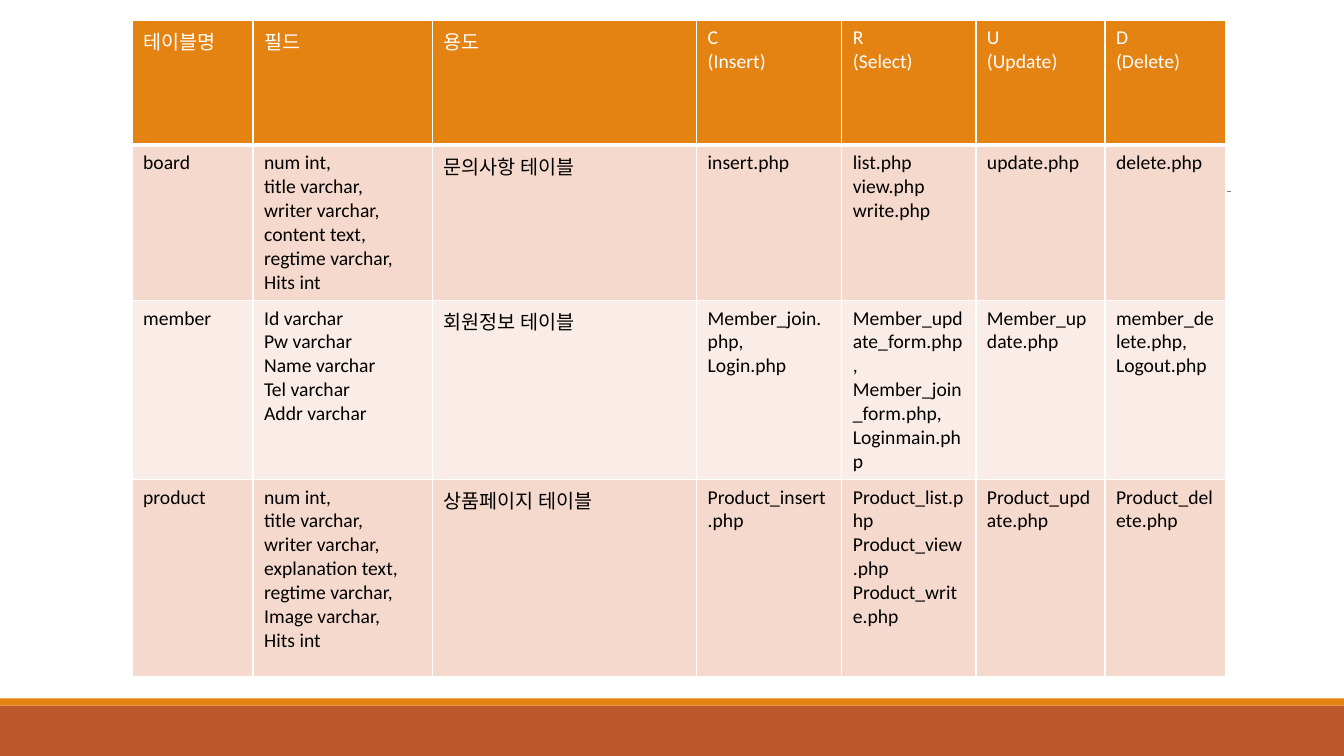
import pptx
import pptx.dml.color
import pptx.enum.shapes
import pptx.oxml
import pptx.oxml.ns
import pptx.util

# Content: one list of lines per cell
HEADER = [["테이블명"], ["필드"], ["용도"], ["C", "(Insert)"], ["R", "(Select)"],
          ["U", "(Update)"], ["D", "(Delete)"]]
BODY = [
    [["board"],
     ["num int,", "title varchar,", "writer varchar,", "content text,",
      "regtime varchar,", "Hits int"],
     ["문의사항 테이블"],
     ["insert.php"],
     ["list.php", "view.php", "write.php"],
     ["update.php"],
     ["delete.php"]],
    [["member"],
     ["Id varchar", "Pw varchar", "Name varchar", "Tel varchar", "Addr varchar"],
     ["회원정보 테이블"],
     ["Member_join.php,", "Login.php"],
     ["Member_update_form.php,", "Member_join_form.php,", "Loginmain.php"],
     ["Member_update.php"],
     ["member_delete.php,", "Logout.php"]],
    [["product"],
     ["num int,", "title varchar,", "writer varchar,", "explanation text,",
      "regtime varchar,", "Image varchar,", "Hits int"],
     ["상품페이지 테이블"],
     ["Product_insert.php"],
     ["Product_list.php", "Product_view.php", "Product_write.php"],
     ["Product_update.php"],
     ["Product_delete.php"]],
]

THEME = {
    "font": "Calibri", "size": 14,
    "header_text": "FFFFFF", "body_text": "000000",
    "header_fill": "E48312", "bands": ["F5D9CC", "FAEDE7"],
    "border": "FFFFFF", "rule": "808080",
    "footer": "BD582C", "footer_edge": "E48312",
}

# Layout in inches
WIDTH, HEIGHT = 13.33, 7.5
TABLE_LEFT, TABLE_TOP = 1.31, 0.2
COLUMNS = [1.2, 1.78, 2.62, 1.44, 1.33, 1.28, 1.2]
ROWS = [1.24, 1.5, 1.64, 1.96]
FOOTER_HEIGHT, EDGE_HEIGHT = 0.5, 0.07
RULE_Y, RULE_RIGHT = 1.9, 12.21

inches = pptx.util.Inches


def color(name):
    return pptx.dml.color.RGBColor.from_string(name)


def add_band(slide, top, height, fill):
    shape = slide.shapes.add_shape(pptx.enum.shapes.MSO_SHAPE.RECTANGLE,
                                   0, inches(top), inches(WIDTH), inches(height))
    shape.shadow.inherit = False
    shape.fill.solid()
    shape.fill.fore_color.rgb = color(fill)
    shape.line.fill.background()


def add_rule(slide):
    rule = slide.shapes.add_connector(
        pptx.enum.shapes.MSO_CONNECTOR.STRAIGHT,
        inches(TABLE_LEFT), inches(RULE_Y), inches(RULE_RIGHT), inches(RULE_Y))
    rule.line.color.rgb = color(THEME["rule"])
    rule.line.width = pptx.util.Pt(0.5)
    properties = rule._element.spPr
    properties.append(pptx.oxml.parse_xml(
        f'<a:effectLst {pptx.oxml.ns.nsdecls("a")}/>'))


def set_borders(cell, widths):
    properties = cell._tc.get_or_add_tcPr()
    for position, (side, points) in enumerate(widths.items()):
        properties.insert(position, pptx.oxml.parse_xml(
            f'<a:ln{side} {pptx.oxml.ns.nsdecls("a")} w="{pptx.util.Pt(points)}">'
            f'<a:solidFill><a:srgbClr val="{THEME["border"]}"/></a:solidFill>'
            f'</a:ln{side}>'))


def fill_cell(cell, lines, row):
    is_header = row == 0
    fill = THEME["header_fill"] if is_header else THEME["bands"][(row - 1) % 2]
    cell.fill.solid()
    cell.fill.fore_color.rgb = color(fill)
    set_borders(cell, {"L": 1, "R": 1, "T": 3 if row == 1 else 1,
                       "B": 3 if is_header else 1})
    margins = {"margin_left": 0.11, "margin_right": 0.11,
               "margin_top": 0.06, "margin_bottom": 0.06}
    for name, value in margins.items():
        setattr(cell, name, inches(value))
    text_color = THEME["header_text" if is_header else "body_text"]
    font_format = {"name": THEME["font"], "size": pptx.util.Pt(THEME["size"]),
                   "bold": False}
    cell.text_frame.text = "\n".join(lines)
    for paragraph in cell.text_frame.paragraphs:
        for run in paragraph.runs:
            for name, value in font_format.items():
                setattr(run.font, name, value)
            run.font.color.rgb = color(text_color)


def add_crud_table(slide):
    table = slide.shapes.add_table(
        len(ROWS), len(COLUMNS), inches(TABLE_LEFT), inches(TABLE_TOP),
        inches(sum(COLUMNS)), inches(sum(ROWS))).table
    for column, width in zip(table.columns, COLUMNS):
        column.width = inches(width)
    for row, height in zip(table.rows, ROWS):
        row.height = inches(height)
    for row, cells in enumerate([HEADER] + BODY):
        for column, lines in enumerate(cells):
            fill_cell(table.cell(row, column), lines, row)


def main():
    presentation = pptx.Presentation()
    presentation.slide_width = inches(WIDTH)
    presentation.slide_height = inches(HEIGHT)
    slide = presentation.slides.add_slide(presentation.slide_layouts[6])

    # Footer bands, then the rule behind the table
    footer_top = HEIGHT - FOOTER_HEIGHT
    add_band(slide, footer_top, FOOTER_HEIGHT, THEME["footer"])
    add_band(slide, footer_top - EDGE_HEIGHT, EDGE_HEIGHT, THEME["footer_edge"])
    add_rule(slide)
    add_crud_table(slide)
    presentation.save("out.pptx")


if __name__ == "__main__":
    main()
